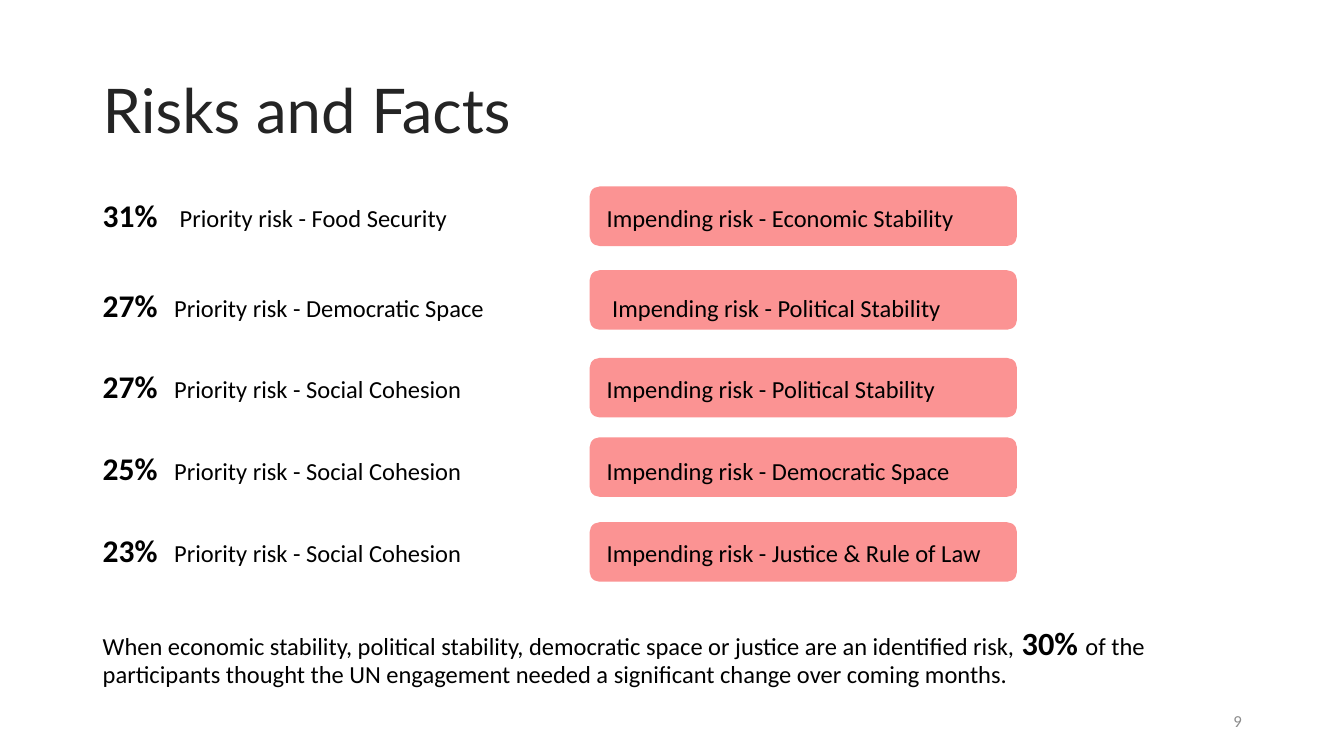
from lxml import etree
from pptx import Presentation
from pptx import util as u
from pptx.dml.color import RGBColor
from pptx.enum import shapes, text
from pptx.oxml import ns

COLORS = {"pill": "FB9393", "title": "242424", "body": "000000", "number": "8C8C8C"}
TAB_STOPS = (1.8, 12.7)  # label and impending risk, cm from the text edge

# share, priority risk, impending risk, space before (pt), pill top (cm)
RISKS = [
    ("31%", " Priority risk - Food Security", "Impending risk - Economic Stability", 0, 4.7),
    ("27%", "Priority risk - Democratic Space", " Impending risk - Political Stability", 45.1, 6.81),
    ("27%", "Priority risk - Social Cohesion", "Impending risk - Political Stability", 39.4, 9.02),
    ("25%", "Priority risk - Social Cohesion", "Impending risk - Democratic Space", 39.4, 11.02),
    ("23%", "Priority risk - Social Cohesion", "Impending risk - Justice & Rule of Law", 39.4, 13.16),
]
SUMMARY = [
    ("When economic stability, political stability, democratic space or justice "
     "are an identified risk, ", 17.5, False),
    ("30% ", 23.1, True),
    ("of the participants thought the UN engagement needed a significant change "
     "over coming months.", 17.5, False),
]


def add_box(s, box, anchor):
    tf = s.shapes.add_textbox(*map(u.Cm, box)).text_frame
    tf.word_wrap = True
    tf.vertical_anchor = anchor
    return tf


def add_run(p, words, size, color, bold=False, font="Calibri"):
    r = p.add_run()
    r.text = words
    r.font.name, r.font.size, r.font.bold = font, u.Pt(size), bold
    r.font.color.rgb = RGBColor.from_string(COLORS[color])


def set_tabs(p):
    tabs = etree.SubElement(p._p.get_or_add_pPr(), ns.qn("a:tabLst"))
    for stop in TAB_STOPS:
        etree.SubElement(tabs, ns.qn("a:tab"), pos=str(u.Cm(stop)), algn="l")


def add_title(s, box):
    p = add_box(s, box, text.MSO_ANCHOR.MIDDLE).paragraphs[0]
    p.line_spacing = 0.9
    add_run(p, "Risks and Facts", 44, "title", font="Lato")


def add_pills(s, left, width, height):
    for *_, top in RISKS:
        pill = s.shapes.add_shape(shapes.MSO_SHAPE.ROUNDED_RECTANGLE,
                                  *map(u.Cm, (left, top, width, height)))
        pill.shadow.inherit = False
        pill.fill.solid()
        pill.fill.fore_color.rgb = RGBColor.from_string(COLORS["pill"])
        pill.line.fill.background()


def add_body(s, box):
    tf = add_box(s, box, text.MSO_ANCHOR.TOP)
    # Risk rows
    for i, (share, priority, impending, gap, _) in enumerate(RISKS):
        p = tf.add_paragraph() if i else tf.paragraphs[0]
        p.line_spacing, p.space_before = 0.7, u.Pt(gap)
        set_tabs(p)
        add_run(p, share, 22.5, "body", True)
        add_run(p, f"\t{priority}\t{impending}", 17.5, "body")
    # Summary
    p = tf.add_paragraph()
    p.line_spacing, p.space_before = 0.9, u.Pt(42.6)
    for words, size, bold in SUMMARY:
        add_run(p, words, size, "body", bold)


def add_number(s, box):
    p = add_box(s, box, text.MSO_ANCHOR.MIDDLE).paragraphs[0]
    p.alignment = text.PP_ALIGN.RIGHT
    add_run(p, "9", 12, "number")


def main():
    prs = Presentation()
    prs.slide_width, prs.slide_height = u.Cm(33.87), u.Cm(19.05)
    s = prs.slides.add_slide(prs.slide_layouts[6])
    add_pills(s, 14.86, 10.77, 1.5)
    add_title(s, (2.34, 1.02, 29.21, 3.68))
    add_number(s, (23.93, 17.65, 7.62, 1.02))
    add_body(s, (2.34, 5.08, 29.21, 12.75))
    prs.save("out.pptx")


if __name__ == "__main__":
    main()
